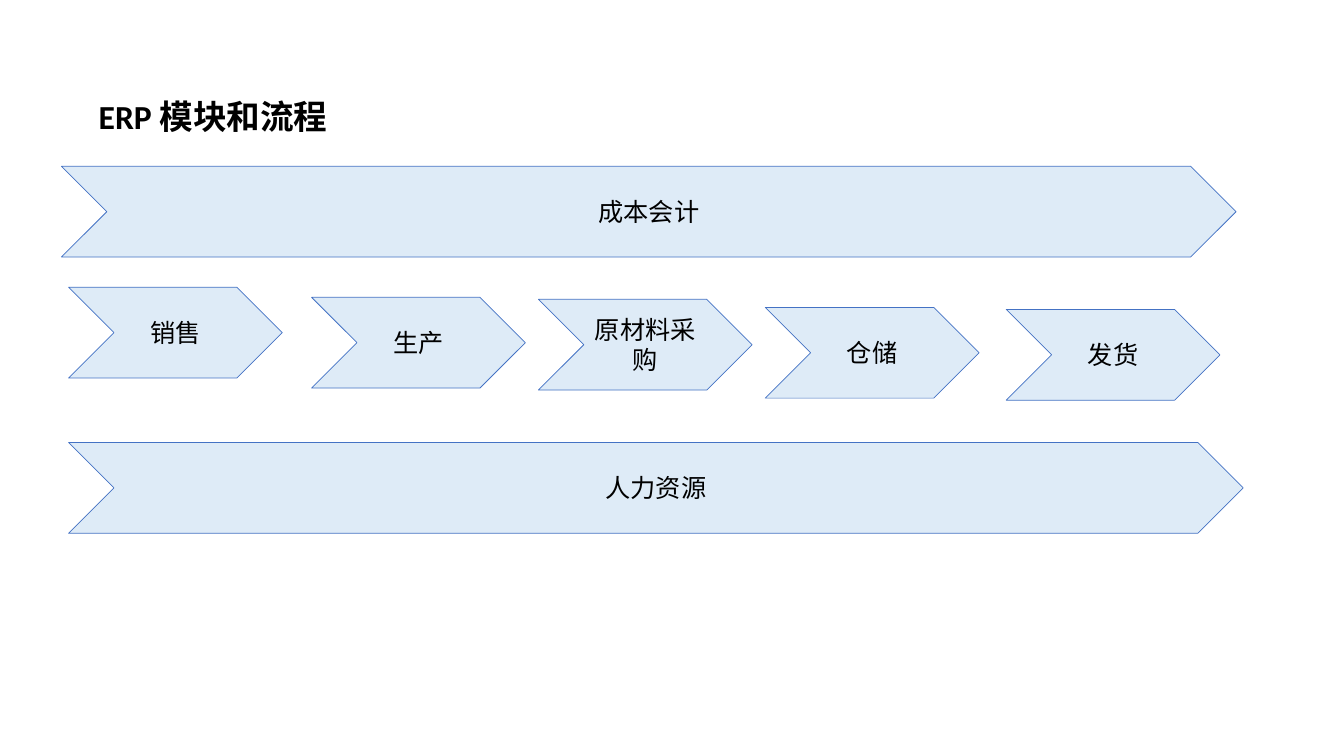
from pptx import Presentation
from pptx import util as u
from pptx.dml.color import RGBColor
from pptx.enum import shapes, text

BLACK = RGBColor(0x00, 0x00, 0x00)
PALE_BLUE = RGBColor(0xDE, 0xEB, 0xF7)
BLUE = RGBColor(0x44, 0x72, 0xC4)


class ProcessSlide:
    font_name = "Calibri"
    chevron_height = 0.9

    def __init__(self, prs):
        self.s = prs.slides.add_slide(prs.slide_layouts[6])

    def style(self, p, size, bold=False):
        p.font.name = self.font_name
        p.font.size = u.Pt(size)
        p.font.bold = bold
        p.font.color.rgb = BLACK

    def title(self, label, left, top, width, height):
        sp = self.s.shapes.add_textbox(
            u.Inches(left), u.Inches(top), u.Inches(width), u.Inches(height))
        tf = sp.text_frame
        tf.word_wrap = True
        p = tf.paragraphs[0]
        p.text = label
        p.line_spacing = 0.9
        self.style(p, 24, bold=True)

    def chevron(self, label, left, top, width):
        sp = self.s.shapes.add_shape(
            shapes.MSO_SHAPE.CHEVRON, u.Inches(left), u.Inches(top),
            u.Inches(width), u.Inches(self.chevron_height))
        sp.shadow.inherit = False
        sp.fill.solid()
        sp.fill.fore_color.rgb = PALE_BLUE
        sp.line.color.rgb = BLUE
        sp.line.width = u.Pt(0.5)
        tf = sp.text_frame
        tf.word_wrap = True
        tf.vertical_anchor = text.MSO_ANCHOR.MIDDLE
        p = tf.paragraphs[0]
        p.text = label
        p.alignment = text.PP_ALIGN.CENTER
        self.style(p, 18)


def main():
    prs = Presentation()
    prs.slide_width = u.Inches(13.33)
    prs.slide_height = u.Inches(7.5)

    slide = ProcessSlide(prs)
    slide.title("ERP 模块和流程", 0.88, 0.95, 11.65, 6.41)

    support_width, step_width = 11.65, 2.12
    for label, left, top in [("成本会计", 0.61, 1.65), ("人力资源", 0.68, 4.39)]:
        slide.chevron(label, left, top, support_width)

    steps = [
        ("销售", 0.68, 2.85),
        ("生产", 3.09, 2.95),
        ("原材料采购", 5.34, 2.97),
        ("仓储", 7.59, 3.05),
        ("发货", 9.98, 3.07),
    ]
    for label, left, top in steps:
        slide.chevron(label, left, top, step_width)

    prs.save("out.pptx")


if __name__ == "__main__":
    main()
